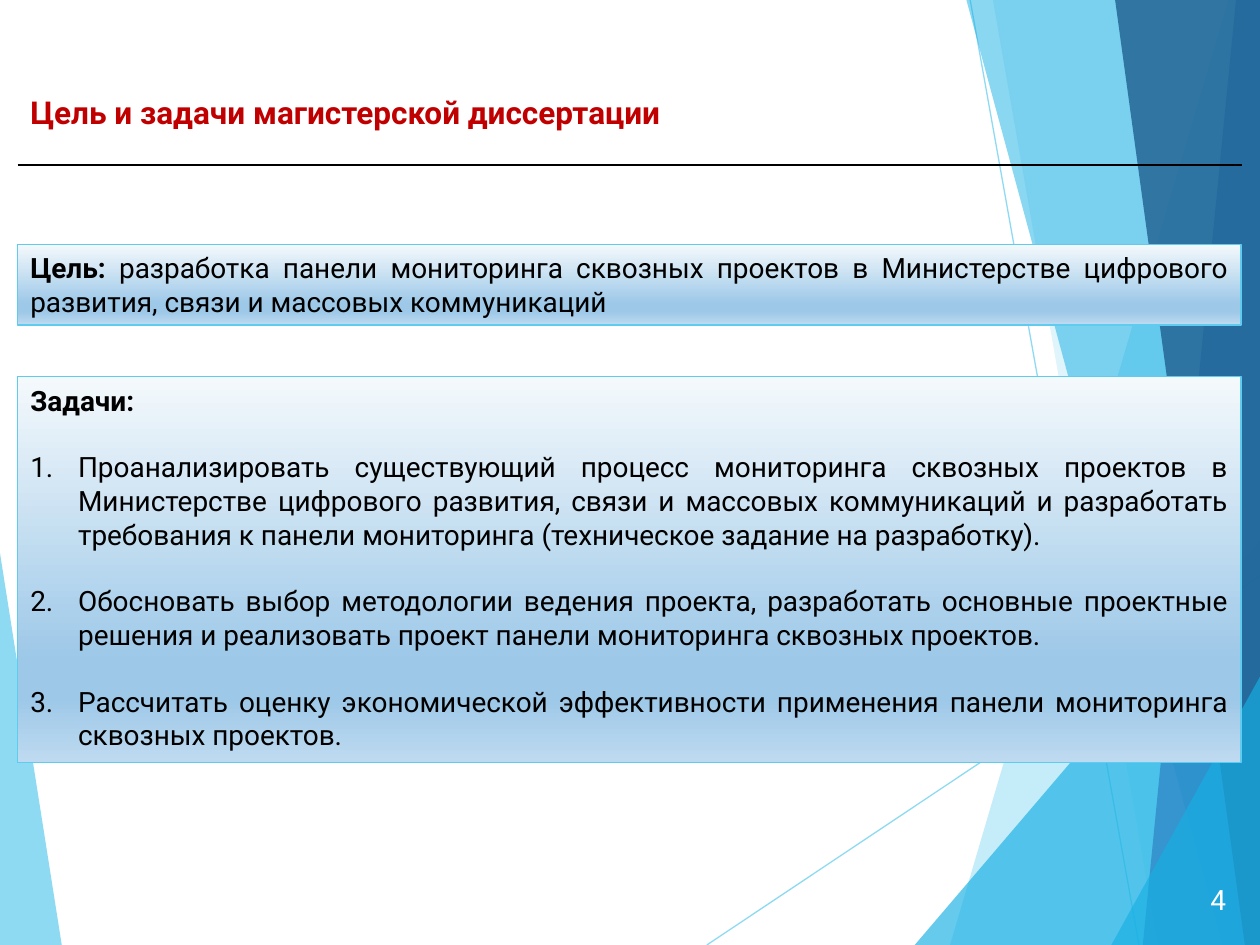
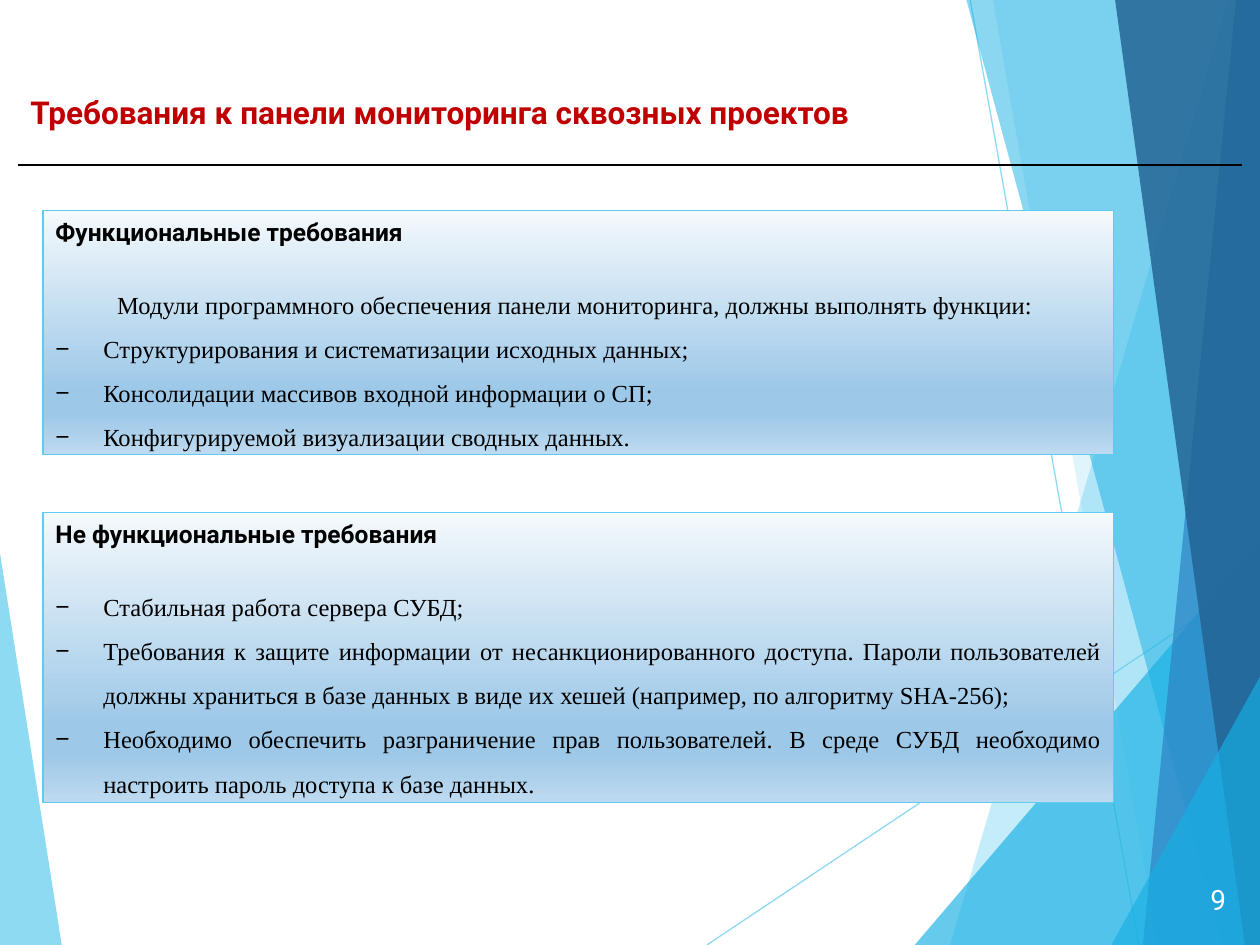
"""Build two dissertation slides with a shared faceted backdrop."""
from dataclasses import dataclass
from typing import Any, NamedTuple

from lxml import etree
from pptx import Presentation
from pptx import util as u
from pptx.dml import color
from pptx.enum import shapes, text
from pptx.oxml import ns

COLUMNS, ROWS = 100, 75
CELL = u.Inches(0.1)
COLORS = {
    "sky": "5FCBEF", "azure": "17B0E4", "blue": "2E83C3", "navy": "226292",
    "title": "C00000", "ink": "000000", "white": "FFFFFF",
    "pale": "F4F9FC", "mist": "9DC8E8", "haze": "BEDAF0",
}
PANEL_STOPS = ((0, "pale"), (74, "mist"), (83, "mist"), (100, "haze"))
SANS, SERIF = "Roboto", "Times New Roman"
HANGING = u.Inches(0.38)


class Area(NamedTuple):
    """Hold a rectangle in grid columns and rows."""
    left: float
    top: float
    width: float
    height: float


class Facet(NamedTuple):
    """Describe a translucent backdrop polygon."""
    points: tuple[tuple[float, float], ...]
    tint: str
    opacity: int


class Rule(NamedTuple):
    """Describe a straight line on the grid."""
    start: tuple[float, float]
    end: tuple[float, float]
    tint: str
    weight: float
    opacity: int = 100


class Span(NamedTuple):
    """Describe a stretch of text in one format."""
    words: str
    bold: bool = False
    font: str = SANS


@dataclass(frozen=True)
class Para:
    """Describe a paragraph with its bullet and spacing."""
    spans: tuple[Span, ...]
    bullet: str = ""
    spacing: float = 1.0
    before: float = 0
    first_indent: float = 0


@dataclass(frozen=True)
class Panel:
    """Describe a gradient text panel."""
    area: Area
    size: int
    paras: tuple[Para, ...]


@dataclass(frozen=True)
class Page:
    """Describe one slide."""
    title: str
    number: int
    panels: tuple[Panel, ...]


LEFT_FACET = Facet(((0, 43.9), (4.9, ROWS), (0, ROWS)), "sky", 70)
RIGHT_FACETS = (
    Facet(((97.5, 0), (75.4, ROWS), (COLUMNS, ROWS), (COLUMNS, 0)), "sky", 36),
    Facet(((78.8, 0), (91.9, ROWS), (COLUMNS, ROWS), (COLUMNS, 0)), "sky", 20),
    Facet(((72.6, ROWS), (COLUMNS, 42.9), (COLUMNS, ROWS)), "azure", 66),
    Facet(((76.7, 0), (97, ROWS), (COLUMNS, ROWS), (COLUMNS, 0)), "azure", 50),
    Facet(((98.1, 0), (90.7, ROWS), (COLUMNS, ROWS), (COLUMNS, 0)), "blue", 70),
    Facet(((88.5, 0), (98.8, ROWS), (COLUMNS, ROWS), (COLUMNS, 0)), "navy", 82),
    Facet(((88.2, ROWS), (COLUMNS, 53.7), (COLUMNS, ROWS)), "azure", 66),
)
RAYS = (
    Rule((56.1, ROWS), (COLUMNS, 45.7), "sky", 0.75, 70),
    Rule((77, 0), (90.4, ROWS), "sky", 0.75, 70),
)
TITLE_RULE = Rule((1.4, 13.1), (98.6, 13.1), "ink", 1.5)
TITLE_AREA = Area(1.4, 6.9, 74.6, 5.7)
NUMBER_AREA = Area(92.7, 69.4, 5.6, 4)


def heading(words: str) -> Para:
    """Return a bold panel heading."""
    return Para((Span(words, bold=True),))


def task(words: str) -> Para:
    """Return a numbered task set one line apart."""
    return Para((Span(words),), bullet="number", before=19)


def demand(words: str, before: float = 0) -> Para:
    """Return a dashed requirement."""
    return Para((Span(words, font=SERIF),), "−", 1.5, before)


PAGES = (
    Page("Цель и задачи магистерской диссертации", 4, (
        Panel(Area(1.4, 19.4, 97.1, 6.4), 16, (
            Para((Span("Цель:", bold=True),
                  Span(" разработка панели мониторинга сквозных проектов в Министерстве "
                       "цифрового развития, связи и массовых коммуникаций"))),
        )),
        Panel(Area(1.4, 29.9, 97.1, 30.6), 16, (
            heading("Задачи:"),
            task("Проанализировать существующий процесс мониторинга сквозных проектов в "
                 "Министерстве цифрового развития, связи и массовых коммуникаций и "
                 "разработать требования к панели мониторинга (техническое задание на "
                 "разработку)."),
            task("Обосновать выбор методологии ведения проекта, разработать основные "
                 "проектные решения и реализовать проект панели мониторинга сквозных "
                 "проектов."),
            task("Рассчитать оценку экономической эффективности применения панели "
                 "мониторинга сквозных проектов."),
        )),
    )),
    Page("Требования к панели мониторинга сквозных проектов", 9, (
        Panel(Area(3.4, 16.7, 85, 19.4), 14, (
            heading("Функциональные требования"),
            Para((Span("Модули программного обеспечения панели мониторинга, должны "
                       "выполнять функции:", font=SERIF),),
                 spacing=1.5, before=16.5, first_indent=0.49),
            demand("Структурирования и систематизации исходных данных;"),
            demand("Консолидации массивов входной информации о СП;"),
            demand("Конфигурируемой визуализации сводных данных."),
        )),
        Panel(Area(3.4, 40.7, 85, 23), 14, (
            heading("Не функциональные требования"),
            demand("Стабильная работа сервера СУБД;", before=16.5),
            demand("Требования к защите информации от несанкционированного доступа. "
                   "Пароли пользователей должны храниться в базе данных в виде их хешей "
                   "(например, по алгоритму SHA-256);"),
            demand("Необходимо обеспечить разграничение прав пользователей. В среде СУБД "
                   "необходимо настроить пароль доступа к базе данных."),
        )),
    )),
)


def grid(*cells: float) -> list[int]:
    """Convert grid cells to slide units."""
    return [round(cell * CELL) for cell in cells]


def rgb(name: str) -> color.RGBColor:
    """Look up a named colour."""
    return color.RGBColor.from_string(COLORS[name])


def apply(target: Any, **values: Any) -> None:
    """Set every given attribute on the target."""
    for name, value in values.items():
        setattr(target, name, value)


def place(box: Any, area: Area) -> None:
    """Move a box to its area and bring it to the front."""
    apply(box, **dict(zip(area._fields, grid(*area))))
    box.element.getparent().append(box.element)


def set_opacity(item: Any, percent: int) -> None:
    """Make the colours of an item translucent."""
    for tint in list(item.element.iter(ns.qn("a:srgbClr"))):
        etree.SubElement(tint, ns.qn("a:alpha"), val=str(percent * 1000))


def draw_facet(page: Any, facet: Facet) -> None:
    """Draw one backdrop polygon."""
    corners = [grid(*point) for point in facet.points]
    builder = page.shapes.build_freeform(*corners[0])
    builder.add_line_segments(corners[1:], close=True)
    shape = builder.convert_to_shape()
    shape.shadow.inherit = False
    shape.fill.solid()
    shape.fill.fore_color.rgb = rgb(facet.tint)
    shape.line.fill.background()
    set_opacity(shape, facet.opacity)


def draw_rule(page: Any, rule: Rule) -> None:
    """Draw one straight line."""
    line = page.shapes.add_connector(
        shapes.MSO_CONNECTOR.STRAIGHT, *grid(*rule.start, *rule.end))
    line.line.color.rgb = rgb(rule.tint)
    line.line.width = u.Pt(rule.weight)
    etree.SubElement(line.element.spPr, ns.qn("a:effectLst"))
    if rule.opacity < 100:
        set_opacity(line, rule.opacity)


def add_span(para: Any, span: Span, size: int, tint: str = "ink") -> None:
    """Append formatted text to a paragraph."""
    run = para.add_run()
    run.text = span.words
    apply(run.font, name=span.font, size=u.Pt(size), bold=span.bold)
    run.font.color.rgb = rgb(tint)


def set_bullet(para: Any, bullet: str, first_indent: float) -> None:
    """Set the bullet and indents of a paragraph."""
    props = para._p.get_or_add_pPr()
    margin = HANGING if bullet else 0
    indent = -HANGING if bullet else u.Inches(first_indent)
    props.set("marL", str(int(margin)))
    props.set("indent", str(int(indent)))
    if not bullet:
        etree.SubElement(props, ns.qn("a:buNone"))
        return
    etree.SubElement(props, ns.qn("a:buFontTx"))
    if bullet == "number":
        etree.SubElement(props, ns.qn("a:buAutoNum"), type="arabicPeriod")
    else:
        etree.SubElement(props, ns.qn("a:buChar"), char=bullet)


def fill_panel(box: Any) -> None:
    """Give a panel its gradient and outline."""
    box.fill.gradient()
    box.fill.gradient_angle = 270
    stops = next(box.element.iter(ns.qn("a:gsLst")))
    for stop in list(stops):
        stops.remove(stop)
    for share, name in PANEL_STOPS:
        stop = etree.SubElement(stops, ns.qn("a:gs"), pos=str(share * 1000))
        etree.SubElement(stop, ns.qn("a:srgbClr"), val=COLORS[name])
    box.line.color.rgb = rgb("sky")
    box.line.width = u.Pt(0.75)


def draw_panel(box: Any, panel: Panel) -> None:
    """Turn a body placeholder into a text panel."""
    place(box, panel.area)
    fill_panel(box)
    frame = box.text_frame
    apply(frame, auto_size=text.MSO_AUTO_SIZE.NONE, word_wrap=True,
          vertical_anchor=text.MSO_ANCHOR.TOP)
    for index, item in enumerate(panel.paras):
        para = frame.add_paragraph() if index else frame.paragraphs[0]
        apply(para, alignment=text.PP_ALIGN.JUSTIFY, line_spacing=item.spacing,
              space_before=u.Pt(item.before), space_after=u.Pt(0))
        set_bullet(para, item.bullet, item.first_indent)
        for span in item.spans:
            add_span(para, span, panel.size)


def draw_label(box: Any, area: Area, span: Span, size: int, tint: str,
               align: Any, anchor: Any) -> None:
    """Fill a one-line title or page number box."""
    place(box, area)
    apply(box.text_frame, auto_size=text.MSO_AUTO_SIZE.NONE, word_wrap=True,
          vertical_anchor=anchor)
    para = box.text_frame.paragraphs[0]
    para.alignment = align
    add_span(para, span, size, tint)


def draw_page(deck: Any, content: Page) -> None:
    """Add one complete slide."""
    page = deck.slides.add_slide(deck.slide_layouts.get_by_name("Two Content"))
    title, *bodies = page.placeholders
    draw_facet(page, LEFT_FACET)
    for ray in RAYS:
        draw_rule(page, ray)
    for facet in RIGHT_FACETS:
        draw_facet(page, facet)
    draw_rule(page, TITLE_RULE)
    draw_label(title, TITLE_AREA, Span(content.title, bold=True), 18, "title",
               text.PP_ALIGN.LEFT, text.MSO_ANCHOR.TOP)
    for box, panel in zip(bodies, content.panels):
        draw_panel(box, panel)
    number = page.shapes.add_textbox(*grid(*NUMBER_AREA))
    draw_label(number, NUMBER_AREA, Span(str(content.number)), 16, "white",
               text.PP_ALIGN.RIGHT, text.MSO_ANCHOR.MIDDLE)


def main() -> None:
    """Build and save the deck."""
    deck = Presentation()
    deck.slide_width, deck.slide_height = grid(COLUMNS, ROWS)
    for content in PAGES:
        draw_page(deck, content)
    deck.save("out.pptx")


if __name__ == "__main__":
    main()
